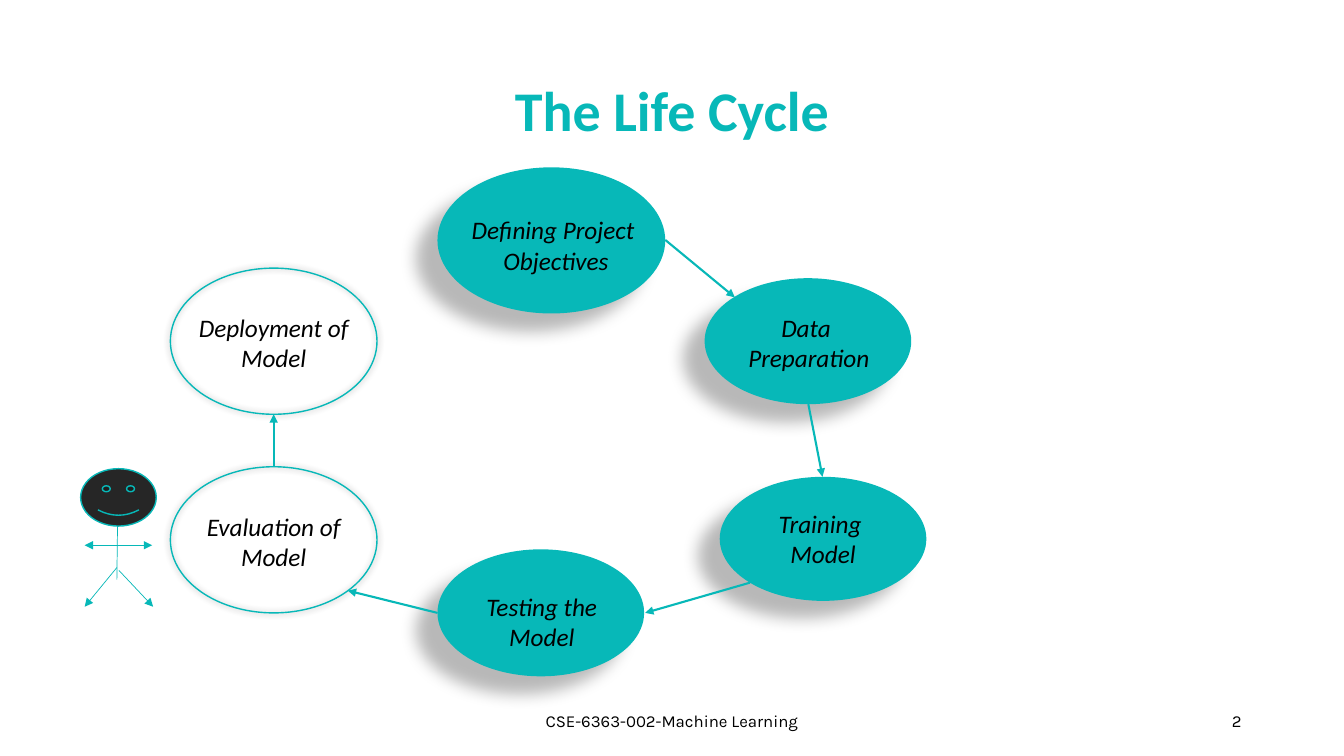
from typing import NamedTuple

import pptx
import pptx.dml.color
import pptx.enum.shapes
import pptx.enum.text
import pptx.oxml
import pptx.oxml.ns
import pptx.oxml.xmlchemy
import pptx.presentation
import pptx.shapes.autoshape
import pptx.slide
import pptx.util

Pt = pptx.util.Pt
RGB = pptx.dml.color.RGBColor
Shape = pptx.enum.shapes.MSO_SHAPE
Align = pptx.enum.text.PP_ALIGN
Anchor = pptx.enum.text.MSO_ANCHOR
qn = pptx.oxml.ns.qn
make = pptx.oxml.xmlchemy.OxmlElement

TEAL = RGB(0x07, 0xB8, 0xB8)
BLACK = RGB(0, 0, 0)
DARK = RGB(0x26, 0x26, 0x26)


class Box(NamedTuple):
    left: float
    top: float
    width: float
    height: float


class Glow(NamedTuple):
    alpha: int  # percent
    blur: float
    dist: float
    angle: int  # degrees


class Font(NamedTuple):
    name: str
    size: int
    color: RGB = BLACK
    bold: bool = False
    italic: bool = False


class Stage(NamedTuple):
    text: str
    oval: Box
    label: Box
    done: bool = True


class Link(NamedTuple):
    x1: float
    y1: float
    x2: float
    y2: float
    weight: float = 1.5
    head: bool = False
    tail: bool = True


DROP = Glow(28, 11.8, 19.7, 141)
HALO = Glow(40, 5, 0, 0)

STEP = Font("Calibri", 18, italic=True)
TITLE = Font("Calibri", 40, TEAL, bold=True)
FOOT = Font("Karla", 12)

STAGES = [
    Stage("Defining Project \nObjectives", Box(312.5, 119.5, 162.7, 104.4),
          Box(326.9, 149.8, 140.4, 51)),
    Stage("Data \nPreparation", Box(503.3, 198.7, 147.6, 90),
          Box(514.1, 219.6, 127.4, 51)),
    Stage("Testing the\nModel", Box(312.5, 392.4, 147.6, 90.7),
          Box(323.3, 419, 127.4, 51)),
    Stage("Evaluation of\nModel", Box(121.7, 333.4, 147.6, 104.4),
          Box(131.8, 361.4, 127.4, 51), done=False),
    Stage("Training \nModel", Box(514.1, 340.6, 147.6, 88.6),
          Box(524.2, 359.3, 127.4, 51)),
    Stage("Deployment of\nModel", Box(121.7, 191.5, 147.6, 104.4),
          Box(131.8, 219.6, 127.4, 51), done=False),
]

LINKS = [
    Link(475.2, 171.4, 524.9, 212.4),
    Link(577.4, 288.7, 587.5, 340.6),
    Link(535.7, 416.2, 460.8, 437.8),
    Link(312.5, 437.8, 248.4, 421.9),
    Link(195.5, 333.4, 195.5, 295.9),
]

TORSO = Link(84.2, 355, 83.5, 414, 0.5, tail=False)
HEAD = Box(57.6, 334.8, 54, 41)
LIMBS = [
    Link(60.5, 389.5, 108.7, 389.5, 0.5, head=True),
    Link(83.5, 405.4, 60.5, 433.4, 0.5),
    Link(85, 407.5, 109.4, 433.4, 0.5),
]


def write(slide: pptx.slide.Slide, text: str, box: Box, font: Font,
          align: Align = Align.CENTER, anchor: Anchor = Anchor.MIDDLE,
          wrap: bool = True, space: float = 1.0) -> None:
    frame = slide.shapes.add_textbox(*map(Pt, box)).text_frame
    frame.text = text
    frame.word_wrap = wrap
    frame.vertical_anchor = anchor
    for para in frame.paragraphs:
        para.alignment = align
        para.line_spacing = space
        for run in para.runs:
            run.font.name = font.name
            run.font.size = Pt(font.size)
            run.font.bold = font.bold
            run.font.italic = font.italic
            run.font.color.rgb = font.color


def draw(slide: pptx.slide.Slide, kind: Shape, box: Box, fill: RGB | None,
         edge: RGB | None) -> pptx.shapes.autoshape.Shape:
    shape = slide.shapes.add_shape(kind, *map(Pt, box))
    shape.shadow.inherit = False
    if fill is None:
        shape.fill.background()
    else:
        shape.fill.solid()
        shape.fill.fore_color.rgb = fill
    if edge is None:
        shape.line.fill.background()
    else:
        shape.line.color.rgb = edge
        shape.line.width = Pt(1)
    return shape


def shade(shape: pptx.shapes.autoshape.Shape, glow: Glow) -> None:
    """Give the shape a soft black outer shadow."""
    effects = shape._element.spPr.find(qn("a:effectLst"))
    effects.append(pptx.oxml.parse_xml(
        f'<a:outerShdw {pptx.oxml.ns.nsdecls("a")} blurRad="{Pt(glow.blur)}" '
        f'dist="{Pt(glow.dist)}" dir="{glow.angle * 60000}" '
        'algn="ctr" rotWithShape="0"><a:srgbClr val="000000">'
        f'<a:alpha val="{glow.alpha * 1000}"/></a:srgbClr></a:outerShdw>'))


def join(slide: pptx.slide.Slide, link: Link) -> None:
    """Draw a straight line with its arrowheads."""
    line = slide.shapes.add_connector(
        pptx.enum.shapes.MSO_CONNECTOR.STRAIGHT, *map(Pt, link[:4]))
    line.line.color.rgb = TEAL
    line.line.width = Pt(link.weight)
    props = line._element.spPr
    for tag, shown in (("a:headEnd", link.head), ("a:tailEnd", link.tail)):
        if shown:
            end = make(tag)
            end.set("type", "triangle")
            props.find(qn("a:ln")).append(end)
    props.append(make("a:effectLst"))


def main() -> None:
    deck = pptx.Presentation()
    deck.slide_width, deck.slide_height = Pt(960), Pt(540)
    slide = deck.slides.add_slide(deck.slide_layouts[6])

    write(slide, "The Life Cycle", Box(66, 28.8, 828, 104.4), TITLE, space=0.9)
    write(slide, "CSE-6363-002-Machine Learning",
          Box(318, 500.5, 324, 28.8), FOOT)
    write(slide, "2", Box(678, 500.5, 216, 28.8), FOOT, Align.RIGHT)

    for stage in STAGES:
        fill, edge = (TEAL, None) if stage.done else (None, TEAL)
        oval = draw(slide, Shape.OVAL, stage.oval, fill, edge)
        shade(oval, DROP if stage.done else HALO)
        write(slide, stage.text, stage.label, STEP,
              anchor=Anchor.TOP, wrap=False)
    for link in LINKS:
        join(slide, link)

    join(slide, TORSO)
    draw(slide, Shape.SMILEY_FACE, HEAD, DARK, TEAL)
    for limb in LIMBS:
        join(slide, limb)
    deck.save("out.pptx")


if __name__ == "__main__":
    main()
